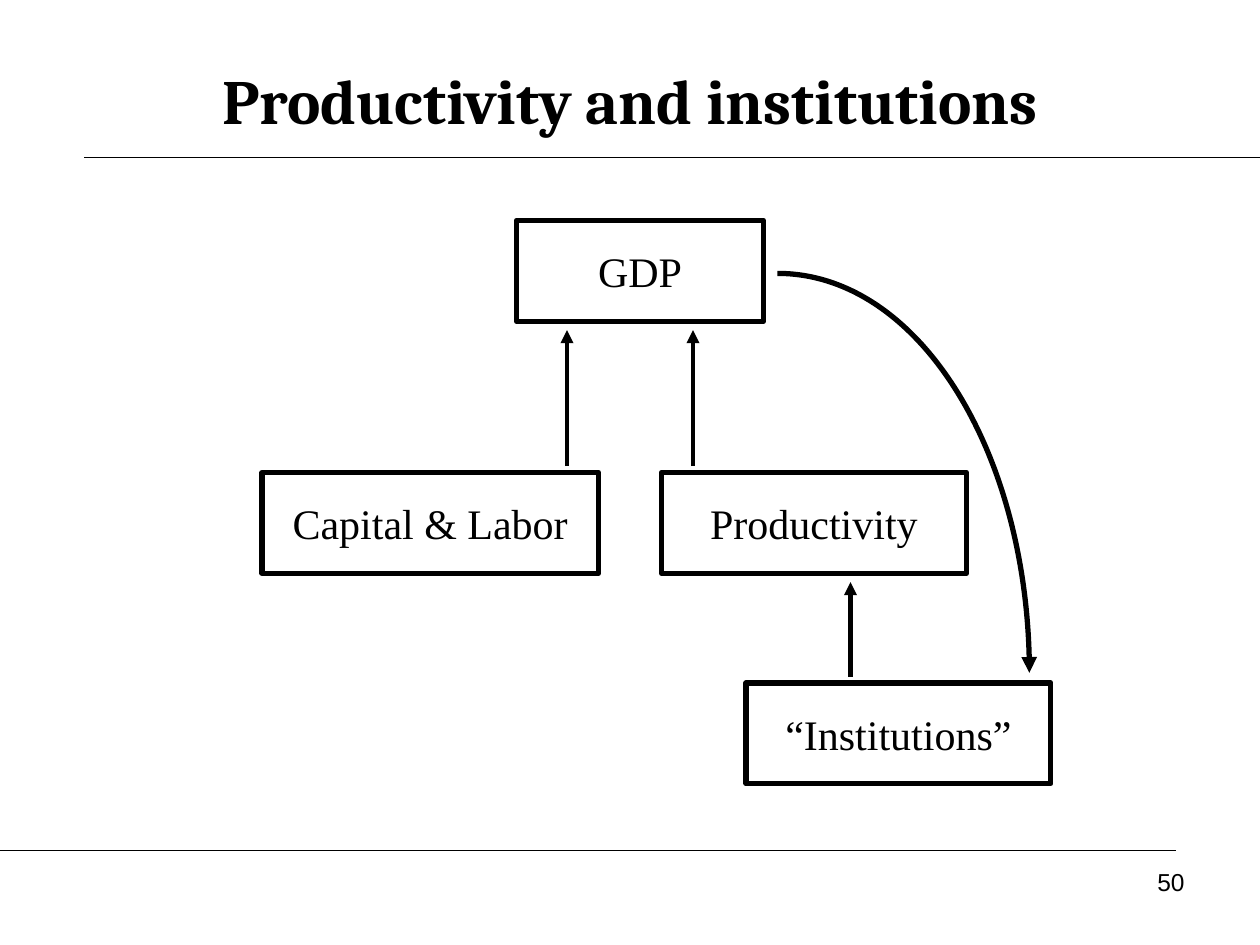
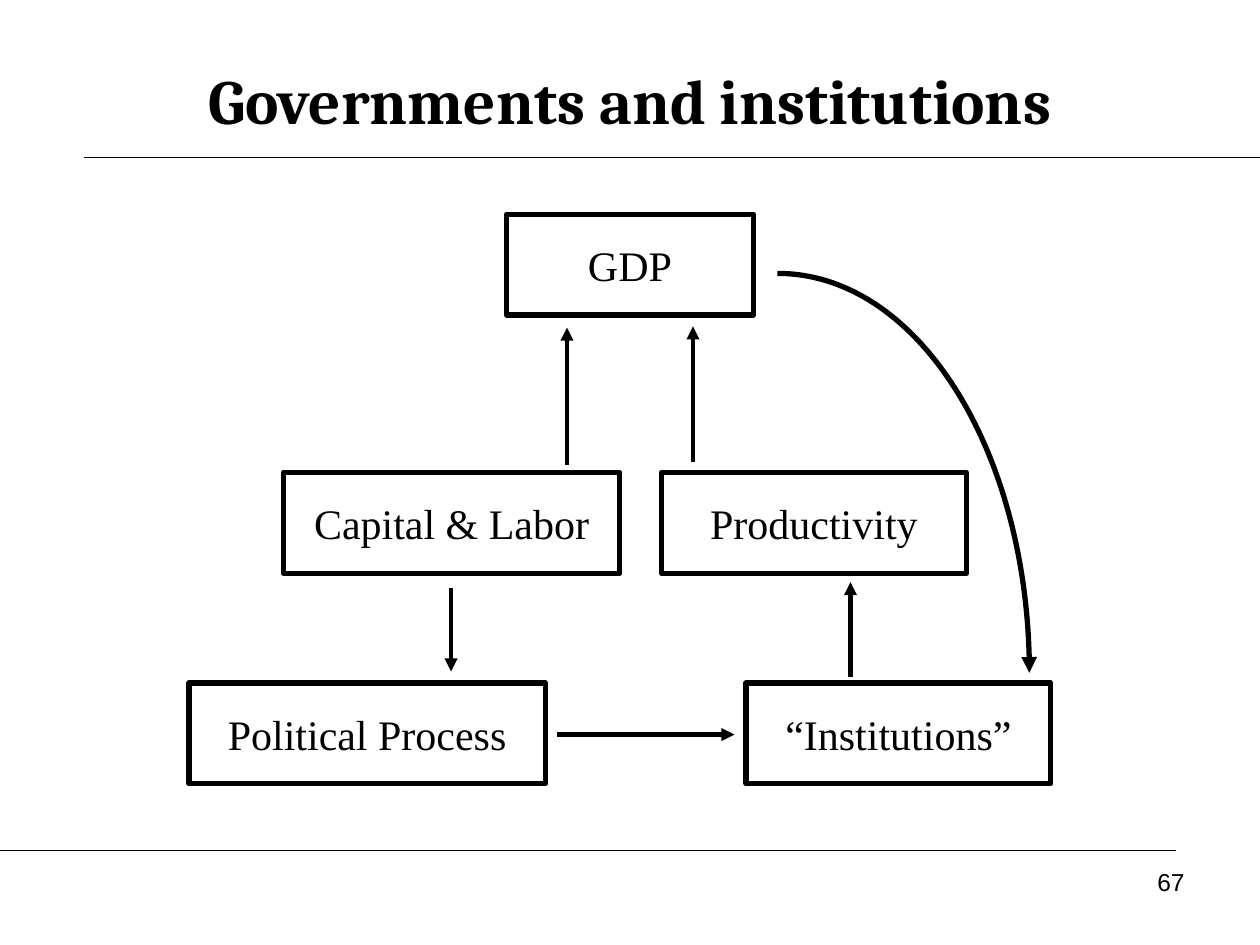
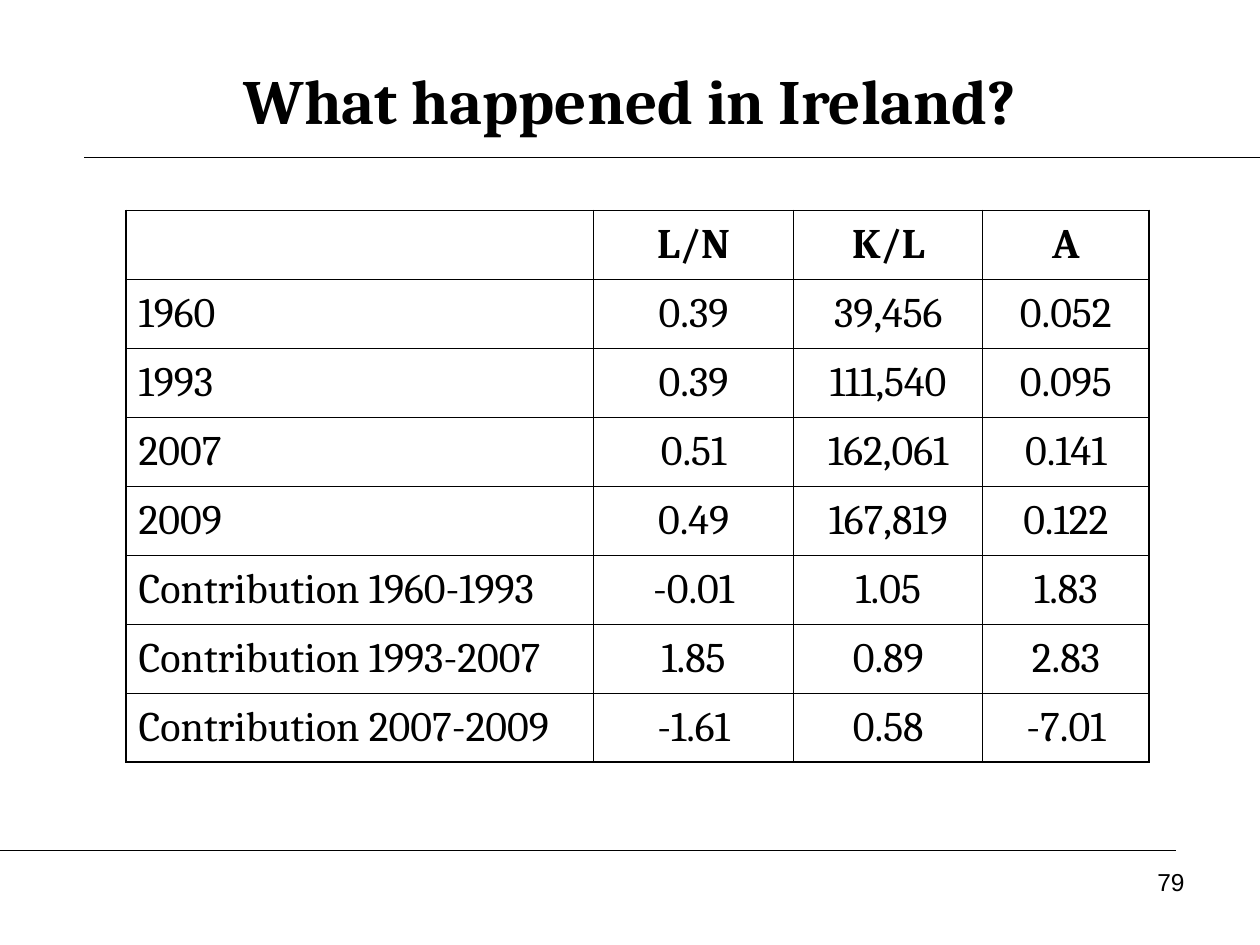
from lxml import etree
from pptx import Presentation
from pptx.dml.color import RGBColor
from pptx.enum import shapes, text
from pptx.oxml import ns
from pptx.util import Inches, Pt

BLACK = "000000"
TITLE_FONT = "Cambria"
BOX_FONT = "Times New Roman"
NUMBER_FONT = "Arial"
BOX_HEIGHT = 0.8
MIDDLE_ROW, BOTTOM_ROW = 3.75, 5.42
# left, right and height of each horizontal rule
RULES = [(0.67, 10, 1.25), (0, 9.33, 6.75), (1.25, 10, 1.25), (0, 7.08, 6.75)]

IRELAND = [
    ("", "L/N", "K/L", "A"),
    ("1960", "0.39", "39,456", "0.052"),
    ("1993", "0.39", "111,540", "0.095"),
    ("2007", "0.51", "162,061", "0.141"),
    ("2009", "0.49", "167,819", "0.122"),
    ("Contribution 1960-1993", "-0.01", "1.05", "1.83"),
    ("Contribution 1993-2007", "1.85", "0.89", "2.83"),
    ("Contribution 2007-2009", "-1.61", "0.58", "-7.01"),
]


def color(hex_string):
    return RGBColor.from_string(hex_string)


def inches(*values):
    return [Inches(value) for value in values]


def add_element(parent, tag, **attributes):
    return etree.SubElement(parent, ns.qn(tag), {key: str(value) for key, value in attributes.items()})


class Deck:
    """Holds the presentation, the shared style and the current slide."""

    def __init__(self):
        self.presentation = Presentation()
        self.presentation.slide_width, self.presentation.slide_height = inches(10, 7.5)
        self.slide = None

    def new_slide(self, title, number):
        self.slide = self.presentation.slides.add_slide(self.presentation.slide_layouts[5])
        for left, right, y in RULES:
            self.line((left, y), (right, y), 0.75)
        self.title(title)
        self.page_number(number)

    def set_text(self, frame, words, font, size, align, bold=False):
        frame.text = words
        paragraph = frame.paragraphs[0]
        paragraph.alignment = align
        for run in paragraph.runs:
            run.font.name, run.font.size, run.font.bold = font, Pt(size), bold
            run.font.color.rgb = color(BLACK)

    def title(self, words):
        shape = self.slide.shapes.title
        shape.left, shape.top, shape.width, shape.height = inches(0.5, 0.33, 9, 0.92)
        shape.text_frame.vertical_anchor = text.MSO_ANCHOR.MIDDLE
        self.set_text(shape.text_frame, words, TITLE_FONT, 36, text.PP_ALIGN.CENTER, bold=True)

    def page_number(self, number):
        shape = self.slide.shapes.add_textbox(*inches(7.17, 6.83, 2.33, 0.52))
        shape.text_frame.word_wrap = True
        self.set_text(shape.text_frame, str(number), NUMBER_FONT, 14, text.PP_ALIGN.RIGHT)

    def stroke(self, shape, width, arrow=False):
        shape.line.color.rgb = color(BLACK)
        shape.line.width = Pt(width)
        if arrow:
            add_element(shape.line._get_or_add_ln(), "a:tailEnd", type="triangle")

    def line(self, start, end, width, arrow=False):
        connector = self.slide.shapes.add_connector(
            shapes.MSO_CONNECTOR.STRAIGHT, *inches(*start, *end))
        self.stroke(connector, width, arrow)
        add_element(connector._element.spPr, "a:effectLst")

    def arrow(self, start, end):
        self.line(start, end, 2.5, arrow=True)

    def box(self, words, left, top, width):
        shape = self.slide.shapes.add_shape(
            shapes.MSO_SHAPE.RECTANGLE, *inches(left, top, width, BOX_HEIGHT))
        shape.shadow.inherit = False
        shape.fill.background()
        self.stroke(shape, 3)
        frame = shape.text_frame
        frame.word_wrap = False
        frame.vertical_anchor = text.MSO_ANCHOR.TOP
        frame.margin_left = frame.margin_right = frame.margin_top = frame.margin_bottom = Inches(0.2)
        self.set_text(frame, words, BOX_FONT, 24, text.PP_ALIGN.CENTER)

    def curved_arrow(self, left, top, width, height):
        """Draw a quarter ellipse from the top left to the bottom right."""
        wide, high = inches(width, height)
        builder = self.slide.shapes.build_freeform(*inches(left, top))
        builder.add_line_segments([inches(left + width, top + height)], close=False)
        shape = builder.convert_to_shape()
        segment = next(shape._element.iter(ns.qn("a:lnTo")))
        outline = segment.getparent()
        outline.set("fill", "none")
        outline.remove(segment)
        curve = add_element(outline, "a:cubicBezTo")
        for x, y in [(0.55, 0), (1, 0.45), (1, 1)]:
            add_element(curve, "a:pt", x=round(x * wide), y=round(y * high))
        shape.shadow.inherit = False
        shape.fill.background()
        self.stroke(shape, 3, arrow=True)

    def cell_borders(self, cell, widths):
        properties = cell._tc.get_or_add_tcPr()
        for side, width in zip("LRTB", widths):
            border = add_element(properties, f"a:ln{side}", w=int(Pt(width)))
            add_element(add_element(border, "a:solidFill"), "a:srgbClr", val=BLACK)

    def table(self, rows, left, top, column_widths, height):
        last_row, last_column = len(rows) - 1, len(column_widths) - 1
        table = self.slide.shapes.add_table(
            len(rows), len(column_widths), *inches(left, top, sum(column_widths), height)).table
        table.first_row = table.horz_banding = False
        for column, width in zip(table.columns, column_widths):
            column.width = Inches(width)
        for r, row in enumerate(rows):
            for c, words in enumerate(row):
                cell = table.cell(r, c)
                edges = (c == 0, c == last_column, r == 0, r == last_row)
                self.cell_borders(cell, [1.08 if edge else 0.45 for edge in edges])
                cell.fill.background()
                cell.vertical_anchor = text.MSO_ANCHOR.MIDDLE
                align = text.PP_ALIGN.CENTER if c else text.PP_ALIGN.LEFT
                self.set_text(cell.text_frame, words, TITLE_FONT, 24, align, bold=r == 0)


def growth_diagram(deck, gdp_corner, capital_left, gdp_arrows):
    """Draw the boxes and arrows that both diagrams share."""
    deck.box("GDP", *gdp_corner, 1.96)
    deck.box("Capital & Labor", capital_left, MIDDLE_ROW, 2.67)
    deck.box("Productivity", 5.25, MIDDLE_ROW, 2.42)
    deck.box("“Institutions”", 5.92, BOTTOM_ROW, 2.42)
    for x, start, end in gdp_arrows:
        deck.arrow((x, start), (x, end))
    deck.arrow((6.75, 5.37), (6.75, 4.62))
    deck.curved_arrow(6.17, 2.17, 2, 3.17)


def main():
    deck = Deck()

    deck.new_slide("Productivity and institutions", 50)
    growth_diagram(deck, (4.1, 1.75), 2.08, [(4.5, 3.7, 2.62), (5.5, 3.7, 2.62)])

    deck.new_slide("Governments and institutions", 67)
    growth_diagram(deck, (4.02, 1.7), 2.25, [(4.5, 3.69, 2.6), (5.5, 3.67, 2.59)])
    deck.box("Political Process", 1.5, BOTTOM_ROW, 2.83)
    deck.arrow((4.42, 5.83), (5.83, 5.83))
    deck.arrow((3.58, 4.67), (3.58, 5.33))

    deck.new_slide("What happened in Ireland?", 79)
    deck.table(IRELAND, 1, 1.67, [3.71, 1.59, 1.5, 1.32], 4.38)

    deck.presentation.save("out.pptx")


if __name__ == "__main__":
    main()
